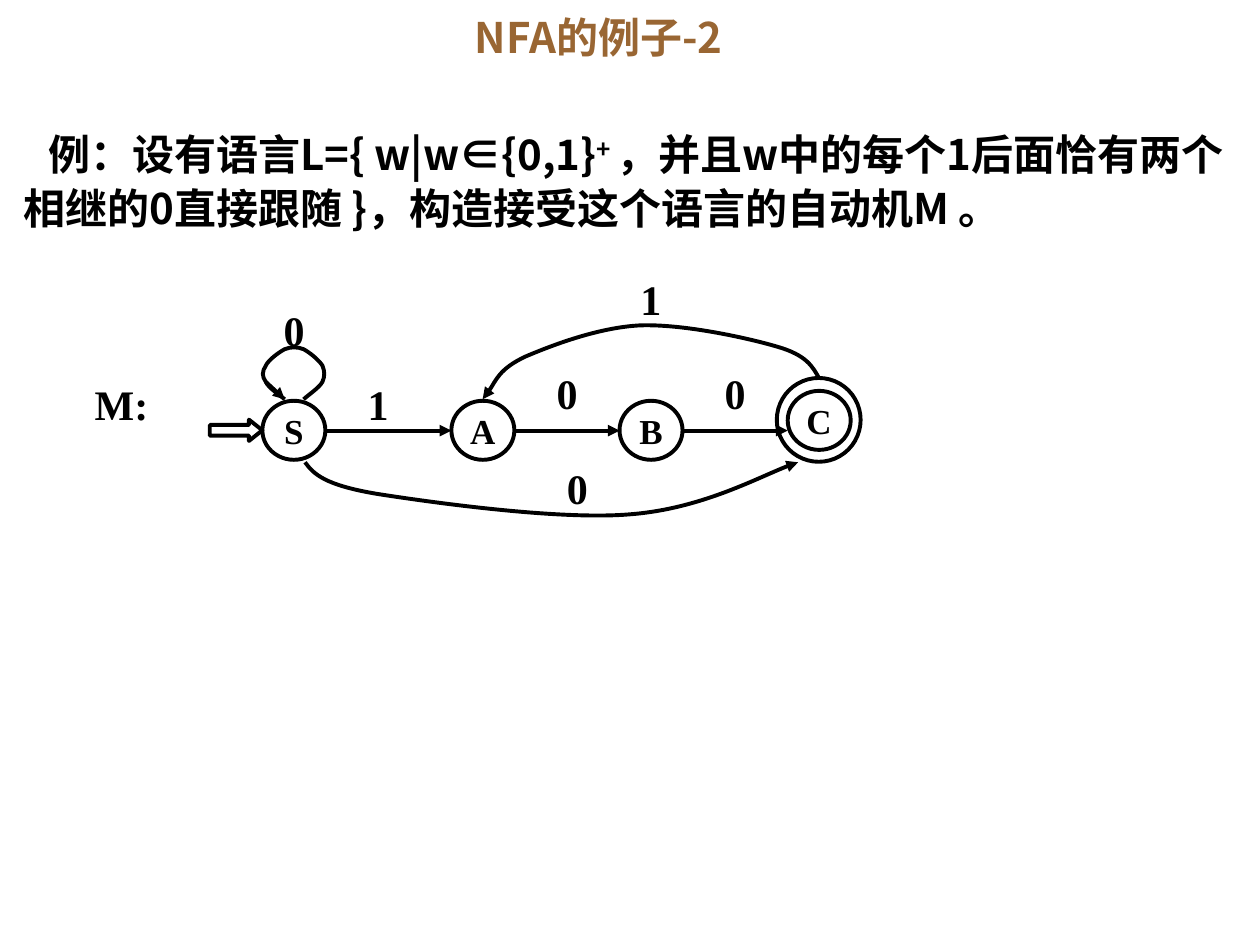
from dataclasses import dataclass

from lxml import etree
from pptx import Presentation
from pptx.dml.color import RGBColor
from pptx.enum.shapes import MSO_CONNECTOR, MSO_SHAPE
from pptx.enum.text import MSO_ANCHOR, MSO_AUTO_SIZE, PP_ALIGN
from pptx.oxml.ns import qn
from pptx.util import Cm, Pt

OVAL, RIGHT_ARROW = MSO_SHAPE.OVAL, MSO_SHAPE.RIGHT_ARROW
STRAIGHT = MSO_CONNECTOR.STRAIGHT
MIDDLE, TOP = MSO_ANCHOR.MIDDLE, MSO_ANCHOR.TOP
LEFT, CENTER = PP_ALIGN.LEFT, PP_ALIGN.CENTER
FIT_SHAPE = MSO_AUTO_SIZE.SHAPE_TO_FIT_TEXT


@dataclass(frozen=True)
class Theme:
    brown: RGBColor = RGBColor(0x99, 0x66, 0x33)
    black: RGBColor = RGBColor(0, 0, 0)
    heading_font: str = "Noto Sans CJK SC"
    diagram_font: str = "Times New Roman"
    text_size: Pt = Pt(24)
    state_size: Pt = Pt(20)
    stroke: Pt = Pt(2.25)


theme = Theme()


def write(frame, runs, font_name, size, color, align=LEFT, anchor=TOP, margins=(0, 0, 0, 0)):
    frame.margin_left, frame.margin_top, frame.margin_right, frame.margin_bottom = map(Cm, margins)
    frame.vertical_anchor = anchor
    paragraph = frame.paragraphs[0]
    paragraph.alignment = align
    for words, baseline in runs:
        run = paragraph.add_run()
        run.text = words
        font = run.font
        font.name, font.size, font.bold = font_name, size, True
        font.color.rgb = color
        properties = run._r.get_or_add_rPr()
        etree.SubElement(properties, qn("a:ea"), typeface=font_name)
        if baseline:
            properties.set("baseline", str(baseline))
    return paragraph


def draw_stroke(shape, arrow=False):
    shape.line.color.rgb = theme.black
    shape.line.width = theme.stroke
    if arrow:
        etree.SubElement(shape.line._get_or_add_ln(), qn("a:tailEnd"), type="triangle")
    etree.SubElement(shape._element.spPr, qn("a:effectLst"))


prs = Presentation()
prs.slide_width, prs.slide_height = Cm(25.4), Cm(19.05)
slide = prs.slides.add_slide(prs.slide_layouts[6])
shapes = slide.shapes

title = shapes.add_textbox(Cm(0.64), Cm(0), Cm(22.86), Cm(1.47)).text_frame
title.word_wrap = True
write(title, [("NFA的例子-2", 0)], theme.heading_font, theme.text_size, theme.brown,
      CENTER, MIDDLE, (0.25, 0.13, 0.25, 0.13))

problem = shapes.add_textbox(Cm(0.21), Cm(2.34), Cm(24.97), Cm(2.74)).text_frame
problem.word_wrap = True
statement = write(
    problem,
    [("例：设有语言L={ w|w∈{0,1}", 0), ("+ ", 30000),
     ("，并且w中的每个1后面恰有两个相继的0直接跟随 }，构造接受这个语言的自动机M 。", 0)],
    theme.heading_font, theme.text_size, theme.black, margins=(0.26, 0.2, 0.25, 0))
statement.line_spacing = Pt(30.5)
statement._p.get_or_add_pPr().set("indent", str(Cm(0.5)))

state_width, state_height, state_top = 1.27, 1.19, 8.08
for state, left, top in [("A", 9.1, state_top), ("C", 15.88, 7.88),
                         ("B", 12.49, state_top), ("S", 5.29, state_top)]:
    circle = shapes.add_shape(OVAL, Cm(left), Cm(top), Cm(state_width), Cm(state_height))
    circle.fill.background()
    draw_stroke(circle)
    write(circle.text_frame, [(state, 0)], theme.diagram_font, theme.state_size, theme.black,
          CENTER, MIDDLE)

accepting_ring = shapes.add_shape(OVAL, Cm(15.66), Cm(7.62), Cm(1.69), Cm(1.69))
start_arrow = shapes.add_shape(RIGHT_ARROW, Cm(4.23), Cm(8.46), Cm(1.06), Cm(0.43))
start_arrow.adjustments[1] = 0.63
for outline in (accepting_ring, start_arrow):
    outline.fill.background()
    draw_stroke(outline)

edge_y = 8.68
for x1, y1, x2, y2 in [(6.56, edge_y, 9.1, edge_y), (10.37, edge_y, 12.49, edge_y),
                       (13.76, edge_y, 15.88, edge_y), (5.36, 7.7, 5.74, 8.05)]:
    draw_stroke(shapes.add_connector(STRAIGHT, Cm(x1), Cm(y1), Cm(x2), Cm(y2)), arrow=True)

self_loop = [
    (6.12, 8.05), (6.27, 7.92), (6.43, 7.82), (6.5, 7.7), (6.55, 7.59), (6.55, 7.49), (6.5, 7.37),
    (6.43, 7.26), (6.25, 7.11), (6.12, 7.04), (5.99, 6.99), (5.87, 6.99), (5.74, 7.04),
    (5.61, 7.11), (5.41, 7.26), (5.36, 7.37), (5.28, 7.49), (5.28, 7.59), (5.36, 7.7),
    (5.41, 7.82), (5.66, 7.98), (5.74, 8.05)]
return_arc = [
    (16.51, 7.62), (16.38, 7.39), (16.26, 7.16), (15.67, 6.99), (15.06, 6.81), (13.77, 6.53),
    (12.91, 6.56), (12.07, 6.6), (11.13, 6.96), (10.59, 7.19), (10.06, 7.44), (9.88, 7.9),
    (9.73, 8.05)]
skip_arc = [
    (6.15, 9.32), (6.32, 9.55), (6.53, 9.78), (7.62, 9.96), (8.71, 10.13), (11.28, 10.49),
    (12.7, 10.37), (14.12, 10.26), (15.52, 9.5), (16.09, 9.32)]
for controls, arrow in [(self_loop, False), (return_arc, True), (skip_arc, True)]:
    start, *rest = [(Cm(x), Cm(y)) for x, y in controls]
    builder = shapes.build_freeform(*start)
    builder.add_line_segments(rest, close=False)
    curve = builder.convert_to_shape()
    outline_path = next(curve._element.iter(qn("a:path")))
    segments = outline_path.findall(qn("a:lnTo"))
    for first in range(0, len(segments), 3):
        bezier = etree.SubElement(outline_path, qn("a:cubicBezTo"))
        for segment in segments[first:first + 3]:
            bezier.append(segment[0])
            outline_path.remove(segment)
    curve.fill.background()
    draw_stroke(curve, arrow)

for label, left, top, width in [
        ("0", 11.22, 7.41, 0.43), ("1", 7.41, 7.63, 0.43), ("0", 5.72, 6.14, 0.43),
        ("1", 12.91, 5.51, 0.43), ("0", 14.61, 7.41, 0.43), ("0", 11.43, 9.32, 0.43),
        ("M:", 1.91, 7.63, 1.09)]:
    frame = shapes.add_textbox(Cm(left), Cm(top), Cm(width), Cm(1.02)).text_frame
    frame.word_wrap = False
    frame.auto_size = FIT_SHAPE
    write(frame, [(label, 0)], theme.diagram_font, theme.text_size, theme.black)

prs.save("out.pptx")
